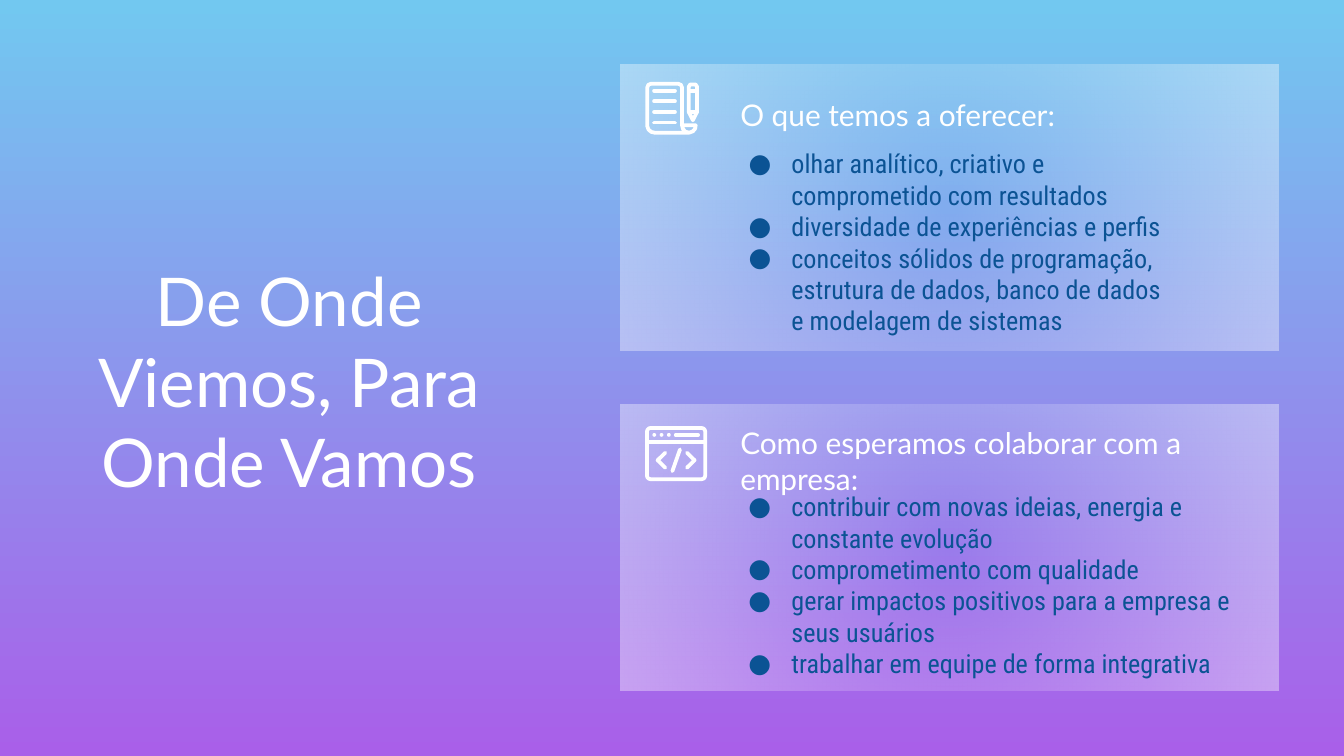
from dataclasses import dataclass

from lxml import etree
from pptx import Presentation
from pptx.dml.color import RGBColor
from pptx.enum.shapes import MSO_CONNECTOR, MSO_SHAPE
from pptx.enum.text import MSO_ANCHOR, PP_ALIGN
from pptx.oxml.ns import qn
from pptx.shapes.base import BaseShape
from pptx.slide import Slide
from pptx.text.text import TextFrame
from pptx.util import Pt

RECTANGLE, ROUNDED, OVAL = MSO_SHAPE.RECTANGLE, MSO_SHAPE.ROUNDED_RECTANGLE, MSO_SHAPE.OVAL
STRAIGHT = MSO_CONNECTOR.STRAIGHT
TOP, MIDDLE = MSO_ANCHOR.TOP, MSO_ANCHOR.MIDDLE
LEFT, CENTER = PP_ALIGN.LEFT, PP_ALIGN.CENTER

COLORS = {"sky": "72C8F0", "violet": "A95FE9", "white": "FFFFFF", "navy": "0B5394"}
HEADING_FONT, BODY_FONT = "Lato", "Roboto Condensed"
STROKE = 2

Point = tuple[float, float]
Box = tuple[float, float, float, float]


@dataclass
class Card:
    top: float
    heading: str
    heading_top: float
    bullets: list[str]
    bullets_box: Box


CARDS = [
    Card(34.4, "O que temos a oferecer:", 51.1,
         ["olhar analítico, criativo e comprometido com resultados",
          "diversidade de experiências e perfis",
          "conceitos sólidos de programação, estrutura de dados, "
          "banco de dados e modelagem de sistemas"],
         (380.9, 72, 255.6, 108.7)),
    Card(216.7, "Como esperamos colaborar com a empresa:", 236.2,
         ["contribuir com novas ideias, energia e constante evolução",
          "comprometimento com qualidade",
          "gerar impactos positivos para a empresa e seus usuários",
          "trabalhar em equipe de forma integrativa"],
         (380.9, 255.6, 288, 102.2)),
]

SHEET = [(365.4, 67.2), (365.4, 47), (364.8, 45.5), (363.4, 44.9), (348.7, 44.9),
         (347.3, 45.5), (346.7, 47), (346.7, 67.5), (347.4, 69.4), (348.8, 70.7),
         (350.6, 71.1), (369.2, 71.1), (371.2, 70.4), (372.4, 69), (372.7, 67.2),
         (365.4, 67.2), (365.9, 69.2), (367.2, 70.6), (369.2, 71.1)]
PEN = [(369, 60), (369, 46.4), (369.8, 45.2), (372.6, 45.2), (373.4, 46.4),
       (373.4, 60), (371.2, 64.4), (369, 60)]


def color(name: str) -> RGBColor:
    return RGBColor.from_string(COLORS[name])


def add_text_frame(slide: Slide, box: Box, anchor: MSO_ANCHOR) -> TextFrame:
    frame = slide.shapes.add_textbox(*map(Pt, box)).text_frame
    frame.word_wrap = True
    frame.vertical_anchor = anchor
    frame.margin_left = frame.margin_right = Pt(7.2)
    frame.margin_top = frame.margin_bottom = Pt(7.2)
    return frame


def add_run(paragraph, text: str, font: str, size: float, color_name: str) -> None:
    run = paragraph.add_run()
    run.text = text
    run.font.name = font
    run.font.size = Pt(size)
    run.font.color.rgb = color(color_name)


def add_heading(slide: Slide, box: Box, text: str, size: float,
                anchor: MSO_ANCHOR, align: PP_ALIGN) -> None:
    paragraph = add_text_frame(slide, box, anchor).paragraphs[0]
    paragraph.alignment = align
    add_run(paragraph, text, HEADING_FONT, size, "white")


def add_bullets(slide: Slide, box: Box, bullets: list[str]) -> None:
    frame = add_text_frame(slide, box, TOP)
    for index, bullet in enumerate(bullets):
        paragraph = frame.paragraphs[0] if index == 0 else frame.add_paragraph()
        props = paragraph._p.get_or_add_pPr()
        props.set("marL", str(Pt(36)))
        props.set("indent", str(Pt(-23)))
        bullet_color = etree.SubElement(props, qn("a:buClr"))
        etree.SubElement(bullet_color, qn("a:srgbClr"), val=COLORS["navy"])
        etree.SubElement(props, qn("a:buFont"), typeface=BODY_FONT)
        etree.SubElement(props, qn("a:buChar"), char="●")
        add_run(paragraph, bullet, BODY_FONT, 14, "navy")


def add_panel(slide: Slide, top: float) -> None:
    """Add a white panel, clear in the centre and frosted at its edges."""
    panel = slide.shapes.add_shape(RECTANGLE, Pt(332.6), Pt(top), Pt(352.4), Pt(153.5))
    panel.shadow.inherit = False
    panel.line.fill.background()
    panel.fill.gradient()
    for stop, position in zip(panel.fill.gradient_stops, (0, 1)):
        stop.color.rgb = color("white")
        stop.position = position
    gradient = panel._element.spPr.find(qn("a:gradFill"))
    for rgb, alpha in zip(gradient.iter(qn("a:srgbClr")), (0, 39000)):
        etree.SubElement(rgb, qn("a:alpha"), val=str(alpha))
    radial = etree.Element(qn("a:path"), path="circle")
    etree.SubElement(radial, qn("a:fillToRect"), l="50000", t="50000", r="50000", b="50000")
    gradient.replace(gradient.find(qn("a:lin")), radial)


def style_stroke(shape: BaseShape) -> None:
    """Give an icon part a white line with round caps and joins."""
    shape.line.color.rgb = color("white")
    shape.line.width = Pt(STROKE)
    properties = shape._element.spPr
    line = properties.find(qn("a:ln"))
    line.set("cap", "rnd")
    etree.SubElement(line, qn("a:round"))
    if properties.find(qn("a:effectLst")) is None:
        etree.SubElement(properties, qn("a:effectLst"))


def add_line(slide: Slide, start: Point, end: Point) -> None:
    style_stroke(slide.shapes.add_connector(STRAIGHT, *map(Pt, start + end)))


def add_polyline(slide: Slide, points: list[Point]) -> None:
    start, *rest = [(Pt(x), Pt(y)) for x, y in points]
    builder = slide.shapes.build_freeform(*start)
    builder.add_line_segments(rest, close=False)
    outline = builder.convert_to_shape()
    outline.fill.background()
    style_stroke(outline)


def add_document_icon(slide: Slide) -> None:
    add_polyline(slide, SHEET)
    for row in range(4):
        y = 48.6 + row * 5.7
        add_line(slide, (350.4, y), (361.6, y))
    add_polyline(slide, PEN)
    for y in (48.6, 60):
        add_line(slide, (369, y), (373.4, y))


def add_code_icon(slide: Slide) -> None:
    window = slide.shapes.add_shape(ROUNDED, Pt(346.6), Pt(229.3), Pt(31.2), Pt(27.4))
    window.adjustments[0] = 0.07
    window.fill.background()
    style_stroke(window)
    add_line(slide, (346.6, 236.9), (377.8, 236.9))
    for column in range(3):
        dot = slide.shapes.add_shape(OVAL, Pt(349.5 + column * 3.9), Pt(232),
                                     Pt(STROKE), Pt(STROKE))
        dot.shadow.inherit = False
        dot.fill.solid()
        dot.fill.fore_color.rgb = color("white")
        dot.line.fill.background()
    add_line(slide, (362, 233), (374, 233))
    center_x, center_y = 362.2, 246.6
    for side in (-1, 1):
        add_polyline(slide, [(center_x + side * 5.8, center_y - 4),
                             (center_x + side * 9.9, center_y),
                             (center_x + side * 5.8, center_y + 4)])
    add_line(slide, (360.2, 252.4), (364.3, 240.8))


def main() -> None:
    presentation = Presentation()
    presentation.slide_width, presentation.slide_height = Pt(720), Pt(405)
    slide = presentation.slides.add_slide(presentation.slide_layouts[6])

    background = slide.background.fill
    background.gradient()
    background.gradient_angle = 270
    for stop, name, position in zip(background.gradient_stops, ("sky", "violet"), (0, 1)):
        stop.color.rgb = color(name)
        stop.position = position

    add_heading(slide, (41.8, 131.8, 226.1, 141.8), "De Onde Viemos, Para Onde Vamos",
                36, TOP, CENTER)
    for card in CARDS:
        add_panel(slide, card.top)
        add_bullets(slide, card.bullets_box, card.bullets)
        add_heading(slide, (389.5, card.heading_top, 255.6, 20.9), card.heading,
                    16, MIDDLE, LEFT)
    add_document_icon(slide)
    add_code_icon(slide)
    presentation.save("out.pptx")


if __name__ == "__main__":
    main()
